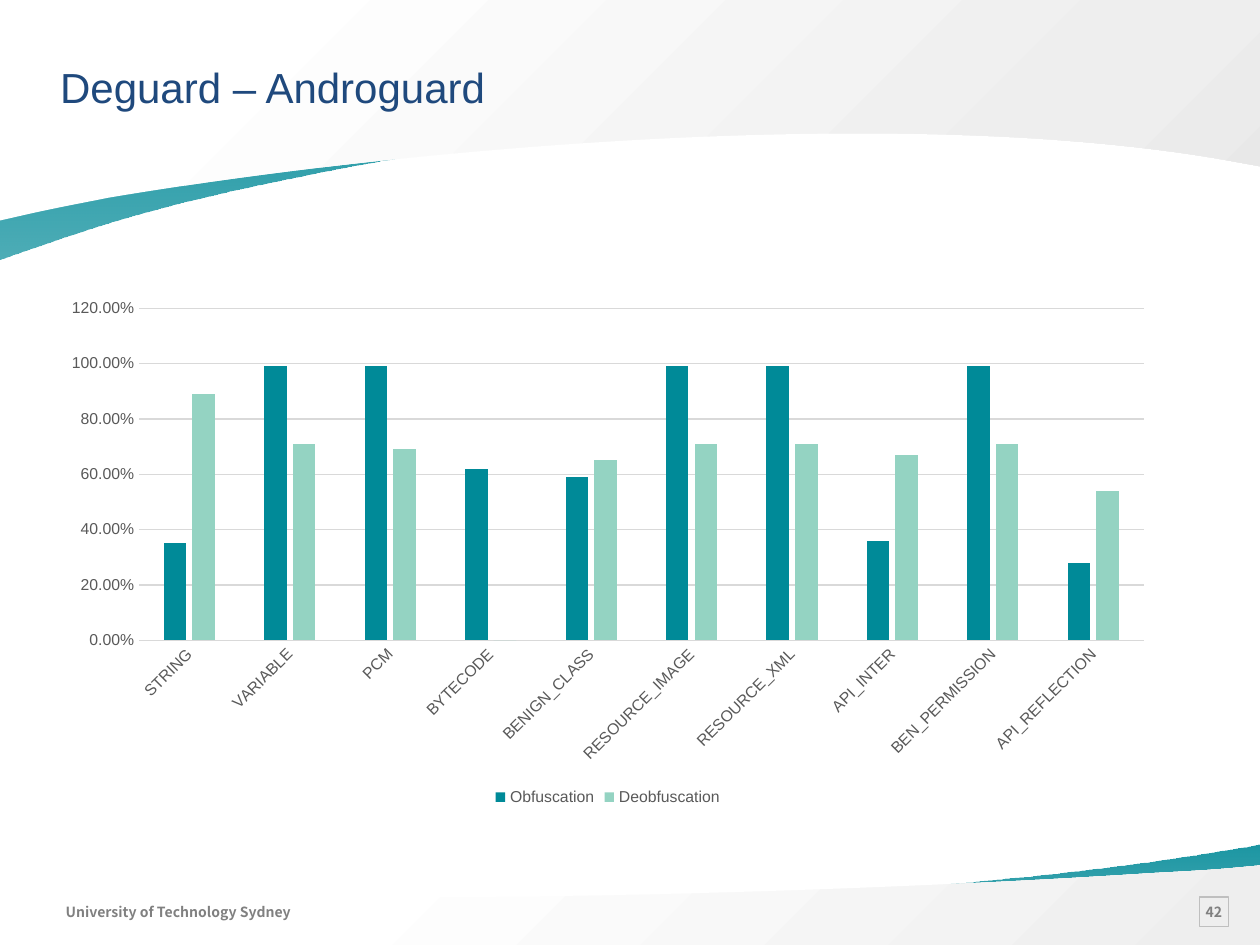
from lxml import etree
from pptx import Presentation
from pptx.chart.data import CategoryChartData
from pptx.dml.color import RGBColor
from pptx.enum.chart import XL_CHART_TYPE, XL_LEGEND_POSITION, XL_TICK_MARK
from pptx.enum.shapes import MSO_SHAPE
from pptx.enum.text import MSO_ANCHOR, PP_ALIGN
from pptx.oxml.ns import qn
from pptx.util import Pt

COLUMNS = XL_CHART_TYPE.COLUMN_CLUSTERED
LEGEND_BOTTOM = XL_LEGEND_POSITION.BOTTOM
NO_TICKS = XL_TICK_MARK.NONE
MIDDLE, TOP = MSO_ANCHOR.MIDDLE, MSO_ANCHOR.TOP
CENTER, LEFT = PP_ALIGN.CENTER, PP_ALIGN.LEFT

TEAL, MINT, NAVY = "008A98", "94D3C2", "1F497D"
GREY, AXIS_GREY, GRID_GREY, FRAME_GREY = "808080", "595959", "D9D9D9", "BFBFBF"
HEADING_FONT, FOOTER_FONT = "Arial", "Noto Sans CJK SC"

# Gradient stops: position %, colour, opacity %
TEAL_STOPS = [(0, TEAL, 90), (100, TEAL, 70)]
HEADER_STOPS = [(17, "FFFFFF", 100), (81, "EEEEEE", 100), (100, "E8E8E8", 100)]
FOOTER_STOPS = [(26, "FFFFFF", 100), (100, "EEEEEE", 100)]

# Outlines in points: each part is a corner (one pair) or a Bezier curve (three)
HEADER_SWOOSH = [
    [(0, 148.3)], [(0, 47.5)], [(720, 47.5)], [(720, 89.3)], [(719.3, 88.6)],
    [(557.3, 38.2), (277.2, 74.2), (115.9, 113)],
    [(83.5, 120.2), (46.8, 131.8), (7.9, 145.4)]]
HEADER_PANEL = [
    [(0, 126)], [(0, 0)], [(720, 0)], [(720, 95)], [(696.2, 90.7)],
    [(508.3, 59), (228.2, 85), (61.9, 113)],
    [(47.5, 115.9), (31.7, 118.8), (15.8, 122.4)]]
FOOTER_SWOOSH = [
    [(720, 0)], [(720, 46.8)], [(0, 46.8)], [(0, 27.4)], [(0.7, 27.4)],
    [(162.7, 51.1), (442.8, 33.8), (604.1, 16.6)],
    [(636.5, 13), (673.2, 7.9), (712.1, 1.4)]]
FOOTER_PANEL = [
    [(720, 12.2)], [(720, 57.6)], [(0, 57.6)], [(0, 23.8)], [(23.8, 25.2)],
    [(211.7, 36.7), (491.8, 27.4), (658.1, 16.6)],
    [(672.5, 15.8), (688.3, 15.1), (704.2, 13.7)]]

CATEGORIES = ["STRING", "VARIABLE", "PCM", "BYTECODE", "BENIGN_CLASS",
              "RESOURCE_IMAGE", "RESOURCE_XML", "API_INTER",
              "BEN_PERMISSION", "API_REFLECTION"]
SERIES = [
    ("Obfuscation", TEAL,
     [0.35, 0.99, 0.99, 0.62, 0.59, 0.99, 0.99, 0.36, 0.99, 0.28]),
    ("Deobfuscation", MINT,
     [0.89, 0.71, 0.69, 0, 0.65, 0.71, 0.71, 0.67, 0.71, 0.54])]


def rgb(value):
    return RGBColor.from_string(value)


def style_font(font, name, size, color, bold=False):
    font.name, font.size, font.bold = name, Pt(size), bold
    font.color.rgb = rgb(color)


def fill_gradient(shape, stops, angle):
    """Fill with a linear gradient, its angle clockwise in degrees."""
    shape.fill.background()
    properties = shape._element.spPr
    gradient = etree.Element(qn("a:gradFill"), rotWithShape="1")
    stop_list = etree.SubElement(gradient, qn("a:gsLst"))
    for position, color, opacity in stops:
        stop = etree.SubElement(stop_list, qn("a:gs"), pos=str(position * 1000))
        tint = etree.SubElement(stop, qn("a:srgbClr"), val=color)
        if opacity < 100:
            etree.SubElement(tint, qn("a:alpha"), val=str(opacity * 1000))
    etree.SubElement(gradient, qn("a:lin"), ang=str(angle * 60000), scaled="0")
    properties.replace(properties.find(qn("a:noFill")), gradient)


def add_curved_shape(slide, left, top, outline):
    """Build the outline through its end points, then bend the curved parts."""
    parts = [[(Pt(left + x), Pt(top + y)) for x, y in part] for part in outline]
    ends = [part[-1] for part in parts]
    builder = slide.shapes.build_freeform(*ends[0])
    builder.add_line_segments(ends[1:], close=True)
    shape = builder.convert_to_shape()
    segments = list(shape._element.iter(qn("a:lnTo")))
    for segment, part in zip(segments, parts[1:]):
        if len(part) == 1:
            continue
        curve = etree.Element(qn("a:cubicBezTo"))
        for x, y in part:
            etree.SubElement(curve, qn("a:pt"), x=str(x - shape.left),
                             y=str(y - shape.top))
        segment.getparent().replace(segment, curve)
    return shape


def add_band(slide, left, top, swoosh, panel, panel_stops):
    """Place a teal swoosh with a grey panel over it."""
    for outline, stops, angle in ((swoosh, TEAL_STOPS, 90), (panel, panel_stops, 45)):
        shape = add_curved_shape(slide, left, top, outline)
        shape.shadow.inherit = False
        shape.line.fill.background()
        fill_gradient(shape, stops, angle)


def set_text(shape, text, insets, wrap, anchor, align, font):
    frame = shape.text_frame
    frame.word_wrap, frame.vertical_anchor = wrap, anchor
    (frame.margin_left, frame.margin_top,
     frame.margin_right, frame.margin_bottom) = map(Pt, insets)
    paragraph = frame.paragraphs[0]
    paragraph.text, paragraph.alignment = text, align
    style_font(paragraph.font, *font)


def add_title(slide, left, top, width, height):
    box = slide.shapes.add_textbox(Pt(left), Pt(top), Pt(width), Pt(height))
    set_text(box, "Deguard – Androguard", (6, 6, 0, 6), True, TOP, LEFT,
             (HEADING_FONT, 24, NAVY))


def add_footer(slide, left, top, width, height):
    font = (FOOTER_FONT, 8, GREY, True)
    number_width = 16.5
    number = slide.shapes.add_shape(
        MSO_SHAPE.RECTANGLE, Pt(left + width - number_width), Pt(top),
        Pt(number_width), Pt(height))
    number.shadow.inherit = False
    number.fill.background()
    number.line.color.rgb = rgb(FRAME_GREY)
    number.line.width = Pt(0.75)
    set_text(number, "42", (6, 6, 6, 6), False, MIDDLE, CENTER, font)
    label = slide.shapes.add_textbox(Pt(left), Pt(top), Pt(136), Pt(height))
    set_text(label, "University of Technology Sydney", (0, 3.6, 0, 3.6),
             False, TOP, LEFT, font)


def add_bar_chart(slide, left, top, width, height):
    data = CategoryChartData(number_format="0.00%")
    data.categories = CATEGORIES
    for name, _, values in SERIES:
        data.add_series(name, values)
    chart = slide.shapes.add_chart(
        COLUMNS, Pt(left), Pt(top), Pt(width), Pt(height), data).chart
    style_font(chart.font, HEADING_FONT, 10, "000000")
    chart.has_title = False
    chart.has_legend = True
    chart.legend.position = LEGEND_BOTTOM
    chart.legend.include_in_layout = False
    style_font(chart.legend.font, HEADING_FONT, 9, AXIS_GREY)

    plot = chart.plots[0]
    plot.gap_width, plot.overlap, plot.vary_by_categories = 219, -27, False
    for series, (_, color, _) in zip(plot.series, SERIES):
        series.format.fill.solid()
        series.format.fill.fore_color.rgb = rgb(color)

    names, scale = chart.category_axis, chart.value_axis
    for axis in (names, scale):
        axis.major_tick_mark = axis.minor_tick_mark = NO_TICKS
        style_font(axis.tick_labels.font, HEADING_FONT, 9, AXIS_GREY)
    scale.minimum_scale, scale.maximum_scale, scale.major_unit = 0, 1.2, 0.2
    scale.tick_labels.number_format = "0.00%"
    scale.tick_labels.number_format_is_linked = False
    scale.format.line.fill.background()
    for line in (names.format.line, scale.major_gridlines.format.line):
        line.color.rgb = rgb(GRID_GREY)
        line.width = Pt(0.75)
    label_body = names._element.find(qn("c:txPr")).find(qn("a:bodyPr"))
    label_body.set("rot", str(-45 * 60000))
    label_body.set("vert", "horz")


def main():
    presentation = Presentation()
    presentation.slide_width, presentation.slide_height = Pt(720), Pt(540)
    slide = presentation.slides.add_slide(presentation.slide_layouts[6])
    add_band(slide, 0, 482.4, FOOTER_SWOOSH, FOOTER_PANEL, FOOTER_STOPS)
    add_band(slide, 0, 0, HEADER_SWOOSH, HEADER_PANEL, HEADER_STOPS)
    add_footer(slide, 37.5, 512.6, 664.5, 16.9)
    add_title(slide, 28.35, 29.1, 648, 41.8)
    add_bar_chart(slide, 28.35, 164.9, 637.9, 298.8)
    presentation.save("out.pptx")


if __name__ == "__main__":
    main()
